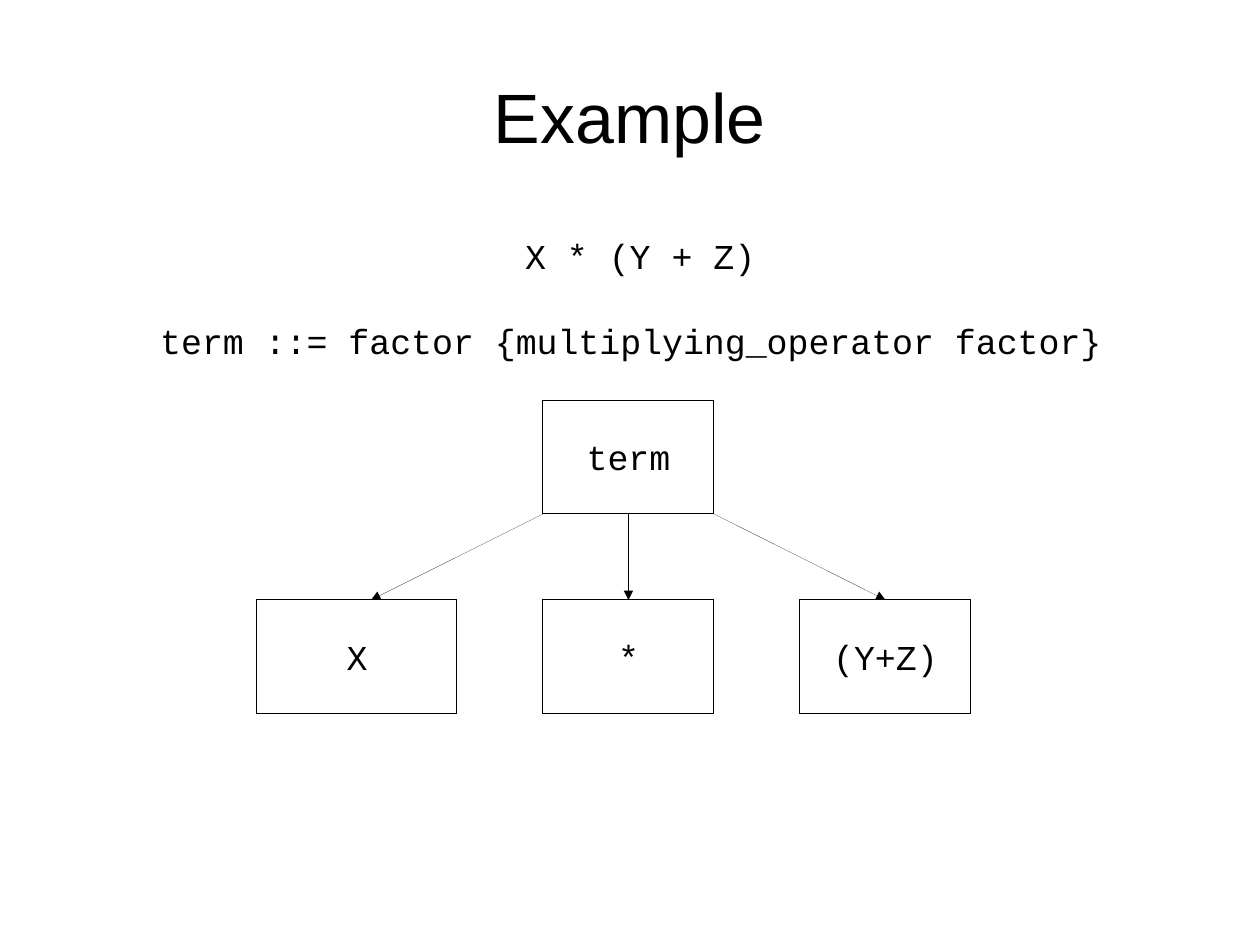
from lxml import etree
from pptx import Presentation
from pptx.dml.color import RGBColor
from pptx.enum.shapes import MSO_CONNECTOR, MSO_SHAPE
from pptx.enum.text import MSO_ANCHOR, PP_ALIGN
from pptx.oxml.ns import qn
from pptx.util import Pt

EMU_PER_PX = 8000
BLACK = RGBColor(0x00, 0x00, 0x00)
WHITE = RGBColor(0xFF, 0xFF, 0xFF)
STRAIGHT = MSO_CONNECTOR.STRAIGHT
RECTANGLE = MSO_SHAPE.RECTANGLE
MIDDLE = MSO_ANCHOR.MIDDLE
LEFT, CENTER = PP_ALIGN.LEFT, PP_ALIGN.CENTER
TOP_SIDE, BOTTOM_SIDE = 0, 2

NODE_HEIGHT = 114
ROOT_TOP, CHILD_TOP = 400, 600


def px(*lengths):
    return [length * EMU_PER_PX for length in lengths]


def write(shape, text, size=22, font="Courier New", align=CENTER):
    para = shape.text_frame.paragraphs[0]
    para.text = text
    para.alignment = align
    para.font.size = Pt(size)
    para.font.name = font
    para.font.color.rgb = BLACK


def draw_hairline(shape):
    """Give the shape a black outline of explicit zero width and return it."""
    shape.line.color.rgb = BLACK
    outline = shape._element.spPr.find(qn("a:ln"))
    outline.set("w", "0")
    return outline


def add_title(page, text):
    box = page.shapes.add_textbox(*px(63, 43, 1134, 146))
    frame = box.text_frame
    frame.word_wrap = True
    frame.vertical_anchor = MIDDLE
    frame.margin_left = frame.margin_right = 0
    frame.margin_top = frame.margin_bottom = 0
    write(box, text, 44, "Arial")


def add_code_line(page, text, left, top, width):
    box = page.shapes.add_textbox(*px(left, top, width, 50))
    box.text_frame.word_wrap = False
    write(box, text, align=LEFT)


def add_node(page, text, left, top, width=171):
    node = page.shapes.add_shape(RECTANGLE, *px(left, top, width, NODE_HEIGHT))
    node.shadow.inherit = False
    node.fill.solid()
    node.fill.fore_color.rgb = WHITE
    draw_hairline(node)
    node.text_frame.vertical_anchor = MIDDLE
    write(node, text)
    return node


def add_arrow(page, start_x, end_x):
    """Draw an arrow from the root's bottom edge to the top of the child row."""
    arrow = page.shapes.add_connector(
        STRAIGHT, *px(start_x, ROOT_TOP + NODE_HEIGHT, end_x, CHILD_TOP))
    outline = draw_hairline(arrow)
    etree.SubElement(outline, qn("a:tailEnd"), type="triangle")
    etree.SubElement(arrow._element.spPr, qn("a:effectLst"))
    return arrow


def main():
    deck = Presentation()
    deck.slide_width, deck.slide_height = px(1260, 945)
    page = deck.slides.add_slide(deck.slide_layouts[6])

    add_title(page, "Example")
    add_code_line(page, "X * (Y + Z)", 514, 229, 253)
    add_code_line(page, "term ::= factor {multiplying_operator factor}",
                  149, 314, 966)

    term = add_node(page, "term", 543, ROOT_TOP)
    add_node(page, "X", 257, CHILD_TOP, 200)
    operator = add_node(page, "*", 543, CHILD_TOP)
    group = add_node(page, "(Y+Z)", 800, CHILD_TOP)

    add_arrow(page, 543, 371)
    operator_arrow = add_arrow(page, 628, 628)
    operator_arrow.begin_connect(term, BOTTOM_SIDE)
    operator_arrow.end_connect(operator, TOP_SIDE)
    add_arrow(page, 714, 886).end_connect(group, TOP_SIDE)

    deck.save("out.pptx")


if __name__ == "__main__":
    main()
